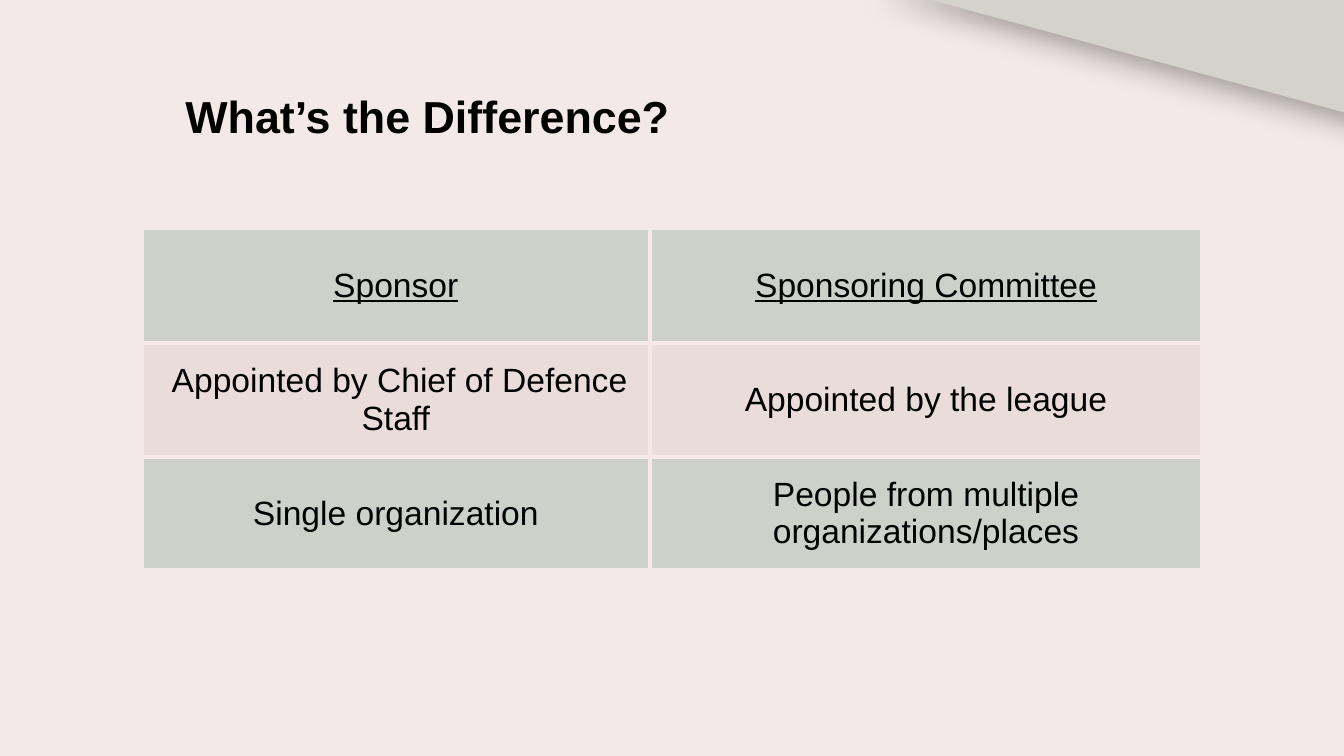
from lxml.etree import SubElement
from pptx import Presentation
from pptx.dml.color import RGBColor
from pptx.enum.text import MSO_ANCHOR as Anchor, MSO_AUTO_SIZE as AutoSize, PP_ALIGN as Align
from pptx.oxml import parse_xml
from pptx.oxml.ns import nsdecls, qn
from pptx.util import Inches, Pt

COLORS = {"ground": "F3E9E8", "corner": "D5D2CB", "sage": "CCD1CA", "rose": "EADCD9", "text": "000000"}
FONT = "Arial"
INSET = Inches(0.1)
WIDTH = Inches(10)
HEIGHT = WIDTH * 9 // 16
UNIT = WIDTH // 100
ROWS = [
    ("Sponsor", "Sponsoring Committee"),
    (" Appointed by Chief of Defence Staff", "Appointed by the league"),
    ("Single organization", "People from multiple organizations/places"),
]
COLUMN_UNITS = (37.8, 41.1)
ROW_UNITS = (8.5, 8.5, 8.4)


def rgb(name):
    return RGBColor.from_string(COLORS[name])


def box(*units):
    return [int(v * UNIT) for v in units]


def style(p, size, bold=False, underline=False):
    for r in p.runs:
        r.font.name = FONT
        r.font.size = Pt(size)
        r.font.bold = bold
        r.font.underline = underline
        r.font.color.rgb = rgb("text")


def set_insets(target):
    target.margin_left = target.margin_right = INSET
    target.margin_top = target.margin_bottom = INSET


def add_corner(s, left, top, width, height):
    builder = s.shapes.build_freeform(left + width, top + height)
    builder.add_line_segments([(left + width, top), (left, top)], close=True)
    sp = builder.convert_to_shape()
    sp.fill.solid()
    sp.fill.fore_color.rgb = rgb("corner")
    sp.line.fill.background()
    sp.shadow.inherit = False
    effects = sp.element.spPr.find(qn("a:effectLst"))
    effects.append(parse_xml(
        f'<a:outerShdw {nsdecls("a")} blurRad="{Pt(16.9)}" dist="{Pt(6)}" dir="{61 * 60000}" '
        f'algn="tl" rotWithShape="0"><a:srgbClr val="{COLORS["text"]}">'
        '<a:alpha val="34000"/></a:srgbClr></a:outerShdw>'))


def place_title(s, left, top, width, height):
    sp = s.shapes.title
    sp.left, sp.top, sp.width, sp.height = left, top, width, height
    tf = sp.text_frame
    tf.text = "What’s the Difference?"
    tf.word_wrap = True
    tf.auto_size = AutoSize.SHAPE_TO_FIT_TEXT
    tf.vertical_anchor = Anchor.TOP
    set_insets(tf)
    p = tf.paragraphs[0]
    p.alignment = Align.LEFT
    style(p, 24, bold=True)


def set_borders(cell):
    tcPr = cell._tc.get_or_add_tcPr()
    for i, side in enumerate(("lnL", "lnR", "lnT", "lnB")):
        tcPr.insert(i, parse_xml(
            f'<a:{side} {nsdecls("a")} w="{Pt(2.25)}"><a:solidFill/></a:{side}>'))
        SubElement(tcPr[i][0], qn("a:srgbClr"), val=COLORS["ground"])


def add_comparison(s, left, top, width, height):
    table = s.shapes.add_table(len(ROWS), len(COLUMN_UNITS), left, top, width, height).table
    for column, units in zip(table.columns, COLUMN_UNITS):
        column.width = int(width * units / sum(COLUMN_UNITS))
    for row, units in zip(table.rows, ROW_UNITS):
        row.height = int(height * units / sum(ROW_UNITS))
    for i, texts in enumerate(ROWS):
        for j, text in enumerate(texts):
            cell = table.cell(i, j)
            cell.text_frame.text = text
            cell.vertical_anchor = Anchor.MIDDLE
            set_insets(cell)
            cell.fill.solid()
            cell.fill.fore_color.rgb = rgb("rose" if i % 2 else "sage")
            set_borders(cell)
            p = cell.text_frame.paragraphs[0]
            p.alignment = Align.CENTER
            style(p, 18, underline=i == 0)


def main():
    prs = Presentation()
    prs.slide_width, prs.slide_height = WIDTH, HEIGHT
    s = prs.slides.add_slide(prs.slide_layouts[5])
    s.background.fill.solid()
    s.background.fill.fore_color.rgb = rgb("ground")
    add_corner(s, *box(64.9, -1.2, 36.7, 10))
    add_comparison(s, *box(10.55, 17, sum(COLUMN_UNITS), sum(ROW_UNITS)))
    place_title(s, *box(12.8, 5.6, 48.9, 6.1))
    prs.save("out.pptx")


if __name__ == "__main__":
    main()
